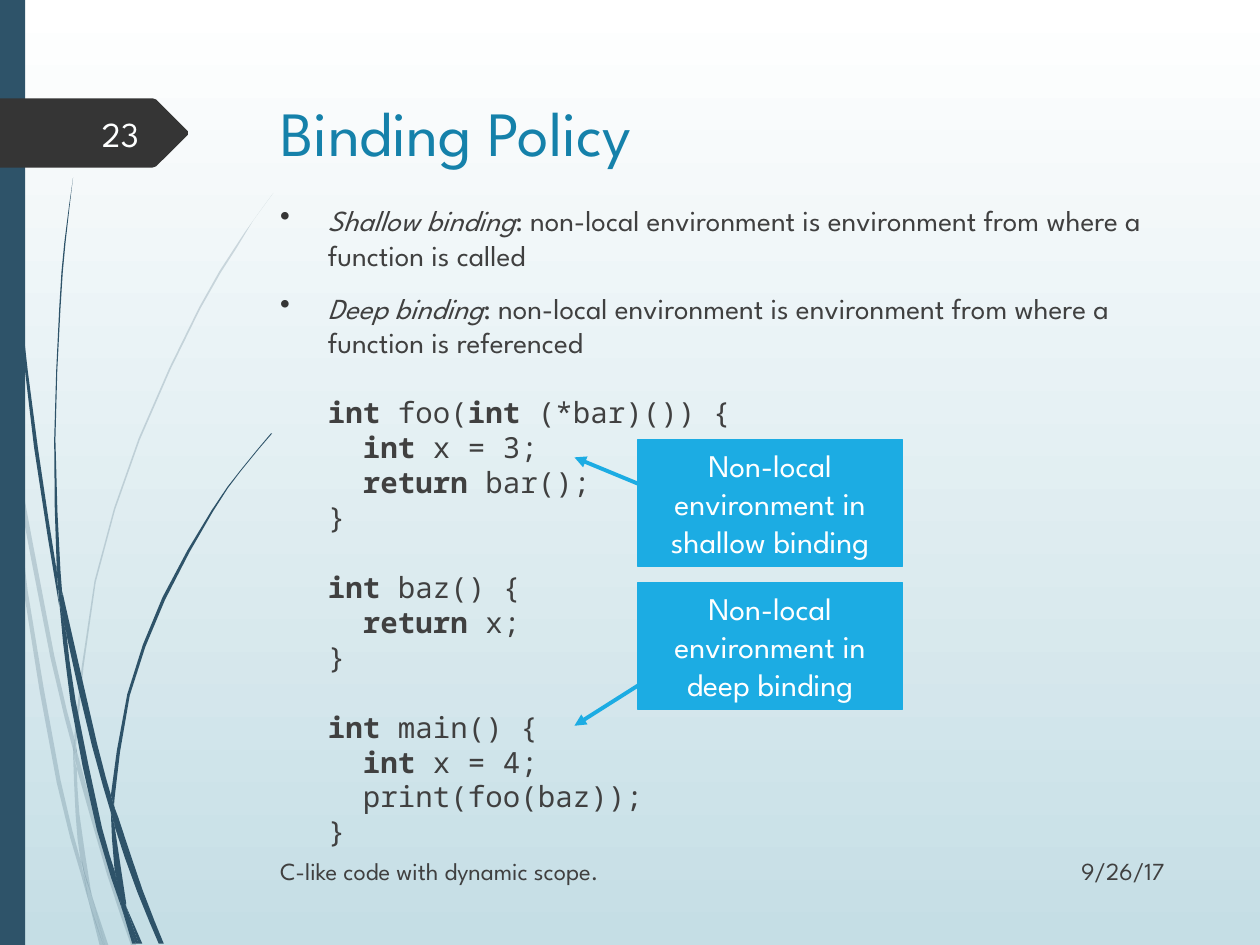
from lxml import etree
from pptx import Presentation
from pptx.dml.color import RGBColor
from pptx.enum.shapes import MSO_CONNECTOR, MSO_SHAPE
from pptx.enum.text import MSO_ANCHOR, PP_ALIGN
from pptx.oxml.ns import qn
from pptx.util import Cm, Pt

LEFT, CENTER, RIGHT = PP_ALIGN.LEFT, PP_ALIGN.CENTER, PP_ALIGN.RIGHT
TOP, MIDDLE = MSO_ANCHOR.TOP, MSO_ANCHOR.MIDDLE
RECTANGLE, STRAIGHT = MSO_SHAPE.RECTANGLE, MSO_CONNECTOR.STRAIGHT
TITLE_ONLY = 5
COLORS = {
    "white": "FFFFFF", "sky": "C5DEE5", "navy": "2E5369", "tag": "353535",
    "title": "1581AA", "text": "404040", "accent": "1CACE3", "number": "FEFFFF",
}
SANS, MONO = "League Spartan", "Noto Sans Mono"

# Each blade of grass is two edges that together run round its outline, in inches.
PALE_BLADES = [
    ([(0.08, 3.5), (0.06, 3.22), (0, 2.82)], [(0, 2.99), (0.07, 3.44)]),
    ([(0.12, 3.76), (0.4, 5.22), (0.59, 5.99)], [(0.59, 5.86), (0.43, 5.2), (0.1, 3.45)]),
    ([(0.61, 6.1), (0.85, 6.94), (1.04, 7.5)], [(1.08, 7.5), (0.88, 6.92), (0.64, 6.07), (0.61, 5.96)]),
    ([(0.83, 7.5), (0.86, 7.5)], [(0.73, 7.11)]),
    ([(0.08, 3.5), (0.19, 4.7), (0.45, 6.21), (0.64, 6.93), (0.7, 7.14)],
     [(0.69, 7.07), (0.64, 6.83), (0.48, 6.19), (0.22, 4.69), (0.12, 3.76)]),
    ([(0.58, 5.99), (0.6, 6.46), (0.64, 6.83), (0.73, 7.11)], [(0.72, 7.06), (0.63, 6.46), (0.61, 6.1)]),
    ([(2.17, 1.53), (2.01, 1.75), (1.86, 1.97), (1.58, 2.44), (1.1, 3.48), (0.75, 4.61), (0.59, 5.84)],
     [(0.61, 5.96), (0.61, 5.84), (0.76, 4.62), (1.11, 3.49), (1.59, 2.45), (1.87, 1.98), (2.01, 1.75)]),
    ([(0.7, 7.14), (0.79, 7.5)], [(0.82, 7.5)]),
    ([(0.61, 6.1), (0.61, 5.96), (0.59, 5.86)], [(0.58, 5.99), (0.61, 6.08)]),
    ([(0.67, 6.92), (0.65, 6.83), (0.7, 7.14), (0.82, 7.5)], [(0.83, 7.5), (0.73, 7.11)]),
]
DARK_BLADES = [
    ([(0.02, 0), (0.03, 0.48), (0.05, 1.1), (0.14, 2.33), (0.27, 3.55), (0.47, 4.81)],
     [(0.45, 4.53), (0.3, 3.55), (0.15, 2.32), (0.06, 1.09), (0.04, 0.48), (0.03, 0)]),
    ([(0.5, 4.72), (0.53, 5.05), (0.73, 5.92), (0.88, 6.45)], [(0.88, 6.31), (0.77, 5.9), (0.5, 4.72)]),
    ([(0.91, 6.41), (0.91, 6.56), (1.09, 7.08), (1.26, 7.49)], [(1.3, 7.49), (1.13, 7.06), (0.94, 6.49)]),
    ([(0.47, 4.77), (0.56, 5.57), (0.77, 6.59), (0.97, 7.22)],
     [(0.96, 7.17), (0.91, 6.91), (0.81, 6.57), (0.6, 5.56), (0.53, 5.05)]),
    ([(0.58, 1.41), (0.51, 1.93), (0.47, 2.45), (0.43, 3.49), (0.45, 4.49), (0.49, 4.72)],
     [(0.5, 4.72), (0.48, 4.53), (0.44, 3.49), (0.48, 2.45), (0.52, 1.93), (0.58, 1.41)]),
    ([(1, 7.19), (1.1, 7.49)], [(1.13, 7.49)]),
    ([(0.47, 4.77), (0.53, 5.05), (0.5, 4.72)], [(0.49, 4.72), (0.45, 4.49), (0.45, 4.53)]),
    ([(2.15, 3.44), (1.91, 3.73), (1.68, 4.05), (1.29, 4.74), (1.01, 5.51), (0.88, 6.31)],
     [(0.91, 6.41), (0.91, 6.33), (1.03, 5.52), (1.31, 4.76), (1.69, 4.06), (1.91, 3.74), (2.16, 3.44)]),
    ([(0.97, 7.22), (1.05, 7.49)], [(1.08, 7.49)]),
    ([(0.88, 6.45), (0.91, 6.91), (1, 7.19)], [(1, 7.16), (0.91, 6.56)]),
    ([(0.88, 6.31), (0.88, 6.45)], [(0.91, 6.56), (0.91, 6.41)]),
    ([(0.91, 6.91), (0.97, 7.22), (1.08, 7.49)], [(1.1, 7.49), (1, 7.19)]),
]
TAG_OUTLINE = [(0, 0.78), (1.21, 0.78), (1.24, 0.79), (1.49, 1.04),
               (1.49, 1.07), (1.24, 1.32), (1.21, 1.33), (0, 1.33)]

# Backticks enclose the emphasised words.
DEFINITIONS = [
    "`Shallow binding`: non-local environment is environment from where a function is called",
    "`Deep binding`: non-local environment is environment from where a function is referenced",
]
CODE = [
    "`int `foo(`int `(*bar)()) {\n  `int `x = 3;\n  `return `bar();\n}",
    "`int `baz() {\n  `return `x;\n}",
    "`int `main() {\n  `int `x = 4;\n  print(foo(baz));\n}",
]
# Callout text, top of the box, then start and end heights of its arrow, in cm.
CALLOUTS = [
    ("Non-local environment in shallow binding", 8.86, 9.75, 9.22),
    ("Non-local environment in deep binding", 11.74, 13.82, 14.63),
]


def color(name):
    return RGBColor.from_string(COLORS[name])


def write(paragraph, text, font=SANS, size=16.65, fill="text", align=LEFT, emphasis="bold"):
    """Fill a paragraph; words between backticks get the emphasis."""
    paragraph.alignment = align
    for index, part in enumerate(text.split("`")):
        for line_index, line in enumerate(part.split("\n")):
            if line_index:
                paragraph.add_line_break()
            if line:
                run = paragraph.add_run()
                run.text = line
                run.font.name, run.font.size = font, Pt(size)
                run.font.color.rgb = color(fill)
                if index % 2:
                    setattr(run.font, emphasis, True)


def smooth_curve(points):
    """Add a point halfway along each span of a Catmull-Rom curve."""
    padded = [points[0], *points, points[-1]]
    curve = []
    for before, start, end, after in zip(padded, padded[1:], padded[2:], padded[3:]):
        halfway = tuple((9 * (b + c) - a - d) / 16
                        for a, b, c, d in zip(before, start, end, after))
        curve += [start, halfway]
    return curve + [points[-1]]


class SlideBuilder:
    def __init__(self, presentation):
        self.slide = presentation.slides.add_slide(presentation.slide_layouts[TITLE_ONLY])
        self.shapes = self.slide.shapes

    def background(self, top, bottom):
        fill = self.slide.background.fill
        fill.gradient()
        fill.gradient_angle = 270
        for stop, name in zip(fill.gradient_stops, (top, bottom)):
            stop.color.rgb = color(name)

    def paint(self, shape, fill, opacity=100):
        shape.shadow.inherit = False
        shape.fill.solid()
        shape.fill.fore_color.rgb = color(fill)
        shape.line.fill.background()
        if opacity < 100:
            solid = shape.fill._xPr.find(qn("a:solidFill"))
            etree.SubElement(solid[0], qn("a:alpha"), val=str(opacity * 1000))

    def outline(self, points, fill, opacity=100):
        corners = [(Cm(2.54 * x), Cm(2.54 * y)) for x, y in points]
        builder = self.shapes.build_freeform(*corners[0])
        builder.add_line_segments(corners[1:], close=True)
        self.paint(builder.convert_to_shape(), fill, opacity)

    def box(self, left, top, width, height, fill):
        shape = self.shapes.add_shape(RECTANGLE, Cm(left), Cm(top), Cm(width), Cm(height))
        self.paint(shape, fill)
        return shape

    def title(self, text, left, top, width, height):
        title = self.shapes.title
        title.left, title.top, title.width, title.height = map(Cm, (left, top, width, height))
        title.text_frame.vertical_anchor = MIDDLE
        write(title.text_frame.paragraphs[0], text, size=36, fill="title")

    def text_box(self, left, top, width, height, anchor=MIDDLE):
        frame = self.shapes.add_textbox(Cm(left), Cm(top), Cm(width), Cm(height)).text_frame
        frame.word_wrap, frame.vertical_anchor = True, anchor
        return frame

    def label(self, text, left, top, width, height, **text_format):
        write(self.text_box(left, top, width, height).paragraphs[0], text, **text_format)

    def body(self, definitions, code, left, top, width, height):
        frame = self.text_box(left, top, width, height, TOP)
        for index, text in enumerate(definitions + code):
            paragraph = frame.add_paragraph() if index else frame.paragraphs[0]
            paragraph.line_spacing = Pt(19.95)
            properties = paragraph._p.get_or_add_pPr()
            properties.set("marL", str(Cm(0.96)))
            if index < len(definitions):
                paragraph.space_before = Pt(10 if index else 0)
                properties.set("indent", str(Cm(-0.96)))
                bullet_color = etree.SubElement(properties, qn("a:buClr"))
                etree.SubElement(bullet_color, qn("a:srgbClr"), val=COLORS["tag"])
                etree.SubElement(properties, qn("a:buChar"), char="•")
                write(paragraph, text, emphasis="italic")
            else:
                paragraph.space_before = Pt(19.95)
                write(paragraph, text, font=MONO)

    def callout(self, text, left, top, width, height):
        shape = self.box(left, top, width, height, "accent")
        shape.line.color.rgb, shape.line.width = color("accent"), Pt(0.75)
        shape.text_frame.word_wrap, shape.text_frame.vertical_anchor = True, MIDDLE
        write(shape.text_frame.paragraphs[0], text, size=18, fill="white", align=CENTER)

    def arrow(self, *ends):
        connector = self.shapes.add_connector(STRAIGHT, *map(Cm, ends))
        connector.line.color.rgb, connector.line.width = color("accent"), Pt(2.25)
        etree.SubElement(connector.line._get_or_add_ln(), qn("a:tailEnd"), type="triangle")
        etree.SubElement(connector._element.spPr, qn("a:effectLst"))


def main():
    presentation = Presentation()
    presentation.slide_width, presentation.slide_height = Cm(25.4), Cm(19.05)
    builder = SlideBuilder(presentation)
    builder.background("white", "sky")
    for blades, opacity in ((PALE_BLADES, 20), (DARK_BLADES, 100)):
        for first_edge, second_edge in blades:
            builder.outline(smooth_curve(first_edge) + smooth_curve(second_edge), "navy", opacity)
    builder.box(0, 0, 0.51, 19.05, "navy")
    builder.outline(TAG_OUTLINE, "tag")
    builder.title("Binding Policy", 5.4, 1.69, 18.31, 1.9)
    builder.body(DEFINITIONS, CODE, 5.4, 3.96, 18.31, 12.7)
    builder.label("9/26/17", 20.35, 17.04, 3.38, 1.02, size=14, align=RIGHT)
    builder.label("C-like code with dynamic scope.", 5.4, 17.04, 14.94, 1.02, size=14)
    builder.label("23", 1.42, 2.18, 1.63, 1.02, size=20, fill="number", align=RIGHT)
    for text, top, arrow_start, arrow_end in CALLOUTS:
        builder.callout(text, 12.86, top, 5.33, 2.56)
        builder.arrow(12.86, arrow_start, 11.58, arrow_end)
    presentation.save("out.pptx")


if __name__ == "__main__":
    main()
